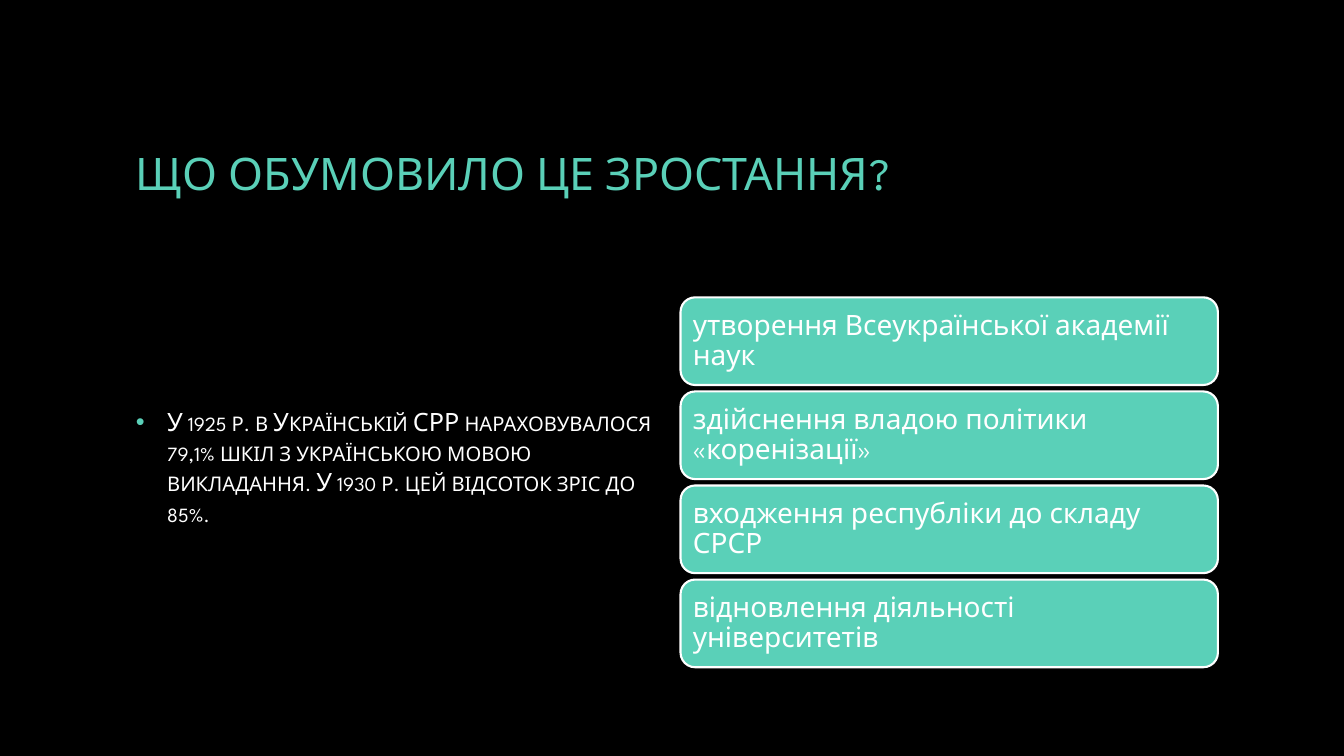
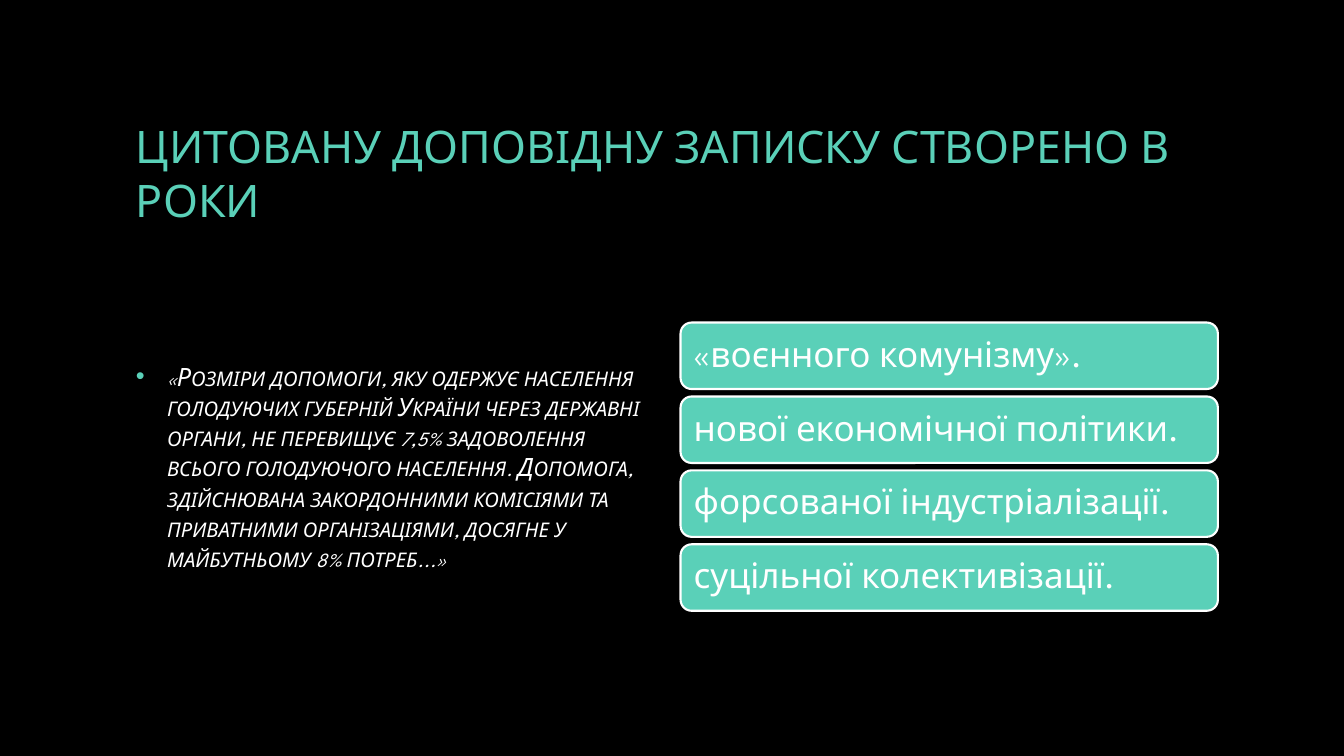
from dataclasses import dataclass

from lxml.etree import SubElement
from pptx import Presentation
from pptx.dml.color import RGBColor
from pptx.enum.shapes import MSO_SHAPE
from pptx.enum.text import MSO_ANCHOR, PP_ALIGN
from pptx.oxml.ns import qn
from pptx.util import Inches, Pt


@dataclass(frozen=True)
class Theme:
    font: str = "League Spartan"
    background: str = "000000"
    accent: str = "5AD0B8"
    light: str = "FFFFFF"
    title_size: int = 32
    body_size: int = 18
    left: float = 1.25
    answer_left: float = 6.75
    column_width: float = 5.33
    title_width: float = 10.83


THEME = Theme()

SLIDES = [
    {
        "title": "ЩО ОБУМОВИЛО ЦЕ ЗРОСТАННЯ?",
        "body": "У 1925 р. в Українській СРР нараховувалося 79,1% шкіл з українською "
                "мовою викладання. У 1930 р. цей відсоток зріс до 85%.",
        "italic": False,
        "answers": [
            "утворення Всеукраїнської академії наук",
            "здійснення владою політики «коренізації»",
            "входження республіки до складу СРСР",
            "відновлення діяльності університетів",
        ],
        "bars": {"first_top": 2.95, "last_top": 5.75, "height": 0.87, "size": 20, "inset": 0.08},
    },
    {
        "title": "ЦИТОВАНУ ДОПОВІДНУ ЗАПИСКУ СТВОРЕНО В РОКИ",
        "body": "«Розміри допомоги, яку одержує населення голодуючих губерній України "
                "через державні органи, не перевищує 7,5% задоволення всього голодуючого "
                "населення. Допомога, здійснювана закордонними комісіями та приватними "
                "організаціями, досягне у майбутньому 8% потреб...»",
        "italic": True,
        "answers": [
            "«воєнного комунізму».",
            "нової економічної політики.",
            "форсованої індустріалізації.",
            "суцільної колективізації.",
        ],
        "bars": {"first_top": 3.2, "last_top": 5.4, "height": 0.66, "size": 25, "inset": 0.1},
    },
]


def set_format(target, values):
    for name, value in values.items():
        setattr(target, name, value)


def write_text(shape, text, size, color, italic=False):
    set_format(shape.text_frame, {"word_wrap": True, "vertical_anchor": MSO_ANCHOR.MIDDLE})
    para = shape.text_frame.paragraphs[0]
    para.alignment = PP_ALIGN.LEFT
    span = para.add_run()
    span.text = text
    set_format(span.font, {"name": THEME.font, "size": Pt(size), "italic": italic})
    span.font.color.rgb = RGBColor.from_string(color)
    return para


def add_bullet(para):
    properties = para._p.get_or_add_pPr()
    set_format_xml = {"marL": Inches(0.31), "indent": Inches(-0.31)}
    for name, value in set_format_xml.items():
        properties.set(name, str(value))
    bullet_color = SubElement(properties, qn("a:buClr"))
    SubElement(bullet_color, qn("a:srgbClr"), val=THEME.accent)
    SubElement(properties, qn("a:buFont"), typeface="Arial")
    SubElement(properties, qn("a:buChar"), char="•")


def add_title(page, text):
    box = page.shapes.add_textbox(
        Inches(THEME.left), Inches(0.67), Inches(THEME.title_width), Inches(2.08))
    write_text(box, text, THEME.title_size, THEME.accent)


def add_body(page, text, italic):
    box = page.shapes.add_textbox(
        Inches(THEME.left), Inches(2.92), Inches(THEME.column_width), Inches(3.42))
    para = write_text(box, text, THEME.body_size, THEME.light, italic)
    add_bullet(para)
    para.space_after = Pt(6)
    para.runs[0].font._element.set("cap", "small")


def add_answer(page, text, top, height, size, inset):
    bar = page.shapes.add_shape(
        MSO_SHAPE.ROUNDED_RECTANGLE, Inches(THEME.answer_left), Inches(top),
        Inches(THEME.column_width), Inches(height))
    bar.shadow.inherit = False
    bar.fill.solid()
    bar.fill.fore_color.rgb = RGBColor.from_string(THEME.accent)
    bar.line.color.rgb = RGBColor.from_string(THEME.light)
    bar.line.width = Pt(1.5)
    sides = ("left", "top", "right", "bottom")
    set_format(bar.text_frame, {f"margin_{side}": Inches(inset) for side in sides})
    write_text(bar, text, size, THEME.light).line_spacing = 0.9


def add_answers(page, answers, first_top, last_top, height, size, inset):
    pitch = (last_top - first_top) / (len(answers) - 1)
    for index, answer in enumerate(answers):
        add_answer(page, answer, first_top + index * pitch, height, size, inset)


def main():
    deck = Presentation()
    set_format(deck, {"slide_width": Inches(13.33), "slide_height": Inches(7.5)})
    backdrop = deck.slide_master.background.fill
    backdrop.solid()
    backdrop.fore_color.rgb = RGBColor.from_string(THEME.background)
    for content in SLIDES:
        page = deck.slides.add_slide(deck.slide_layouts[6])
        add_title(page, content["title"])
        add_body(page, content["body"], content["italic"])
        add_answers(page, content["answers"], **content["bars"])
    deck.save("out.pptx")


if __name__ == "__main__":
    main()
